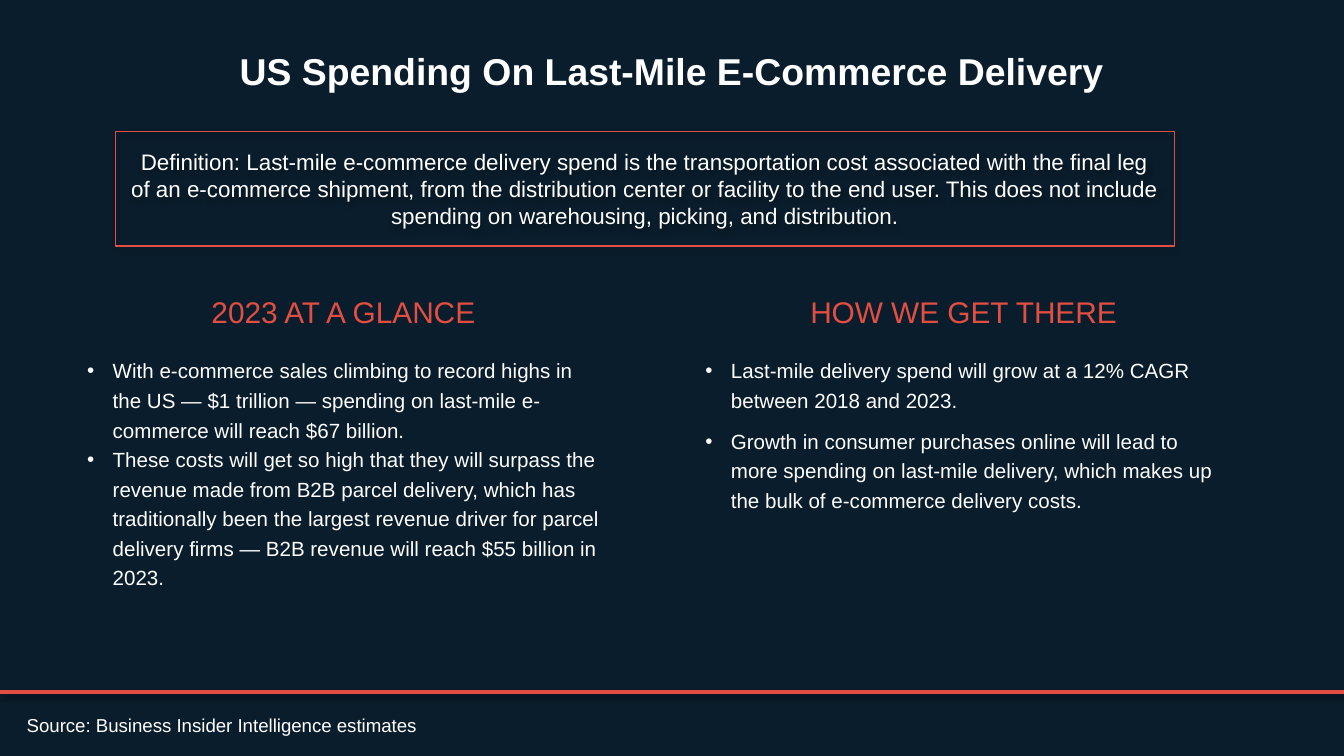
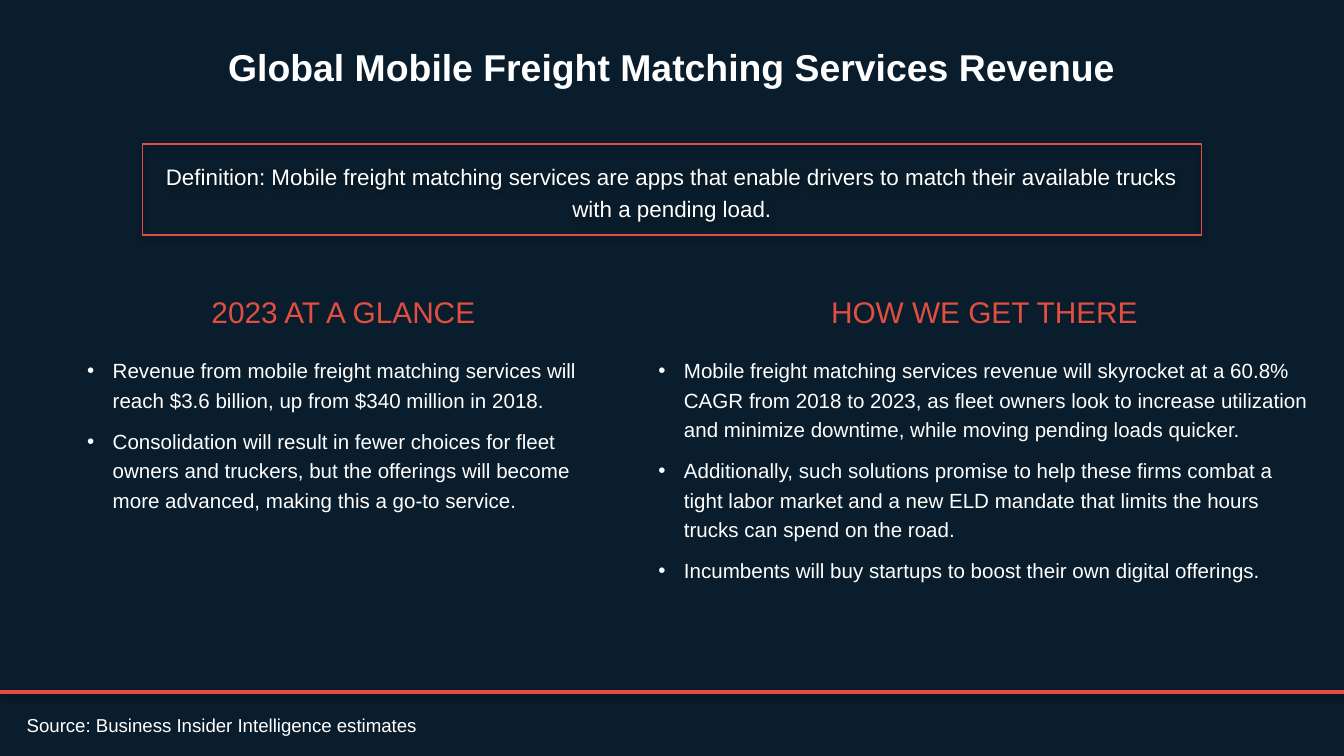
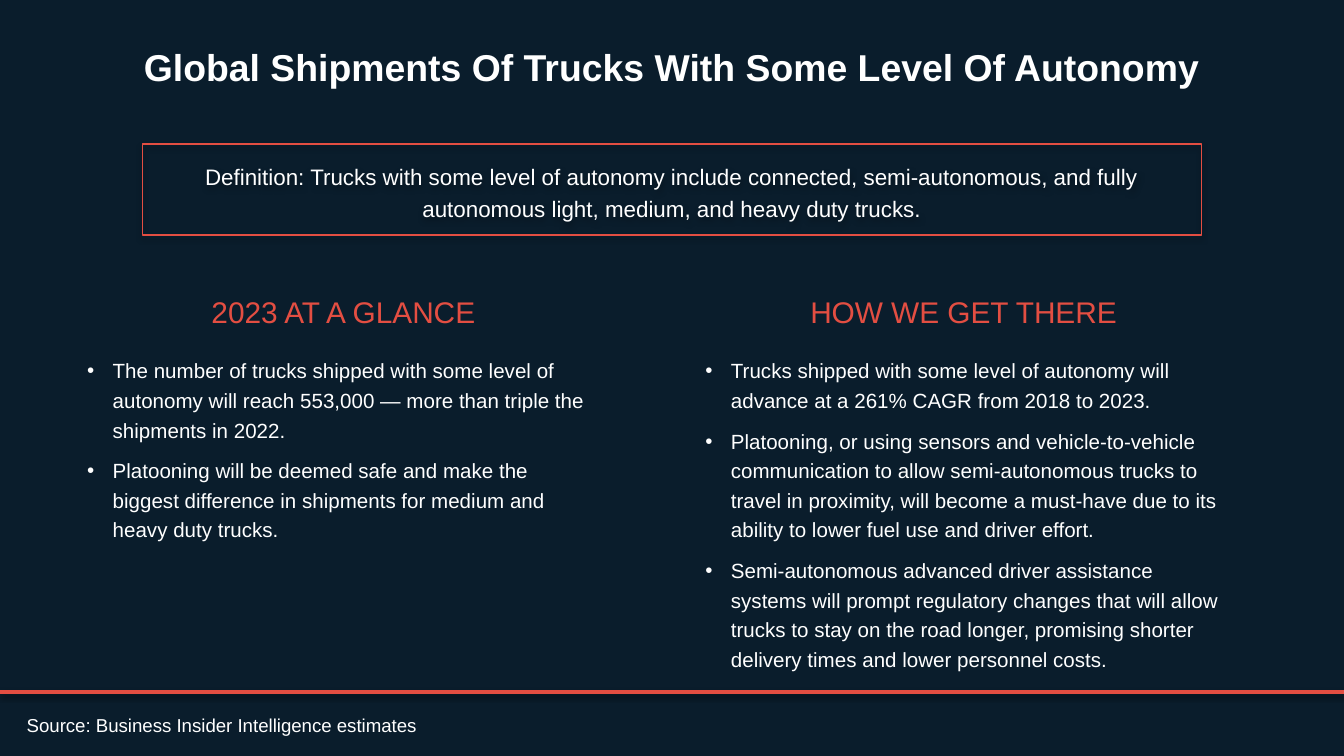
import pptx
import pptx.util
import pptx.dml.color
import pptx.enum.shapes
import pptx.enum.text
import pptx.oxml
import pptx.oxml.ns

Inches = pptx.util.Inches
Pt = pptx.util.Pt
ALIGN = pptx.enum.text.PP_ALIGN
ANCHOR = pptx.enum.text.MSO_ANCHOR

NAVY, RED, WHITE = "0A1D2C", "E34E42", "FFFFFF"
FONT = "Arial"
WIDE = 10
HIGH = WIDE * 9 / 16
RULE_Y = 5.15
INDENT = 0.19
LEFT_BOX = (0.55, 2.08, 4.01, 3.15)
NOTE_BOX = (1.06, 1.07, 7.88, 0.68)
SOURCE = "Source: Business Insider Intelligence estimates"

SLIDES = [
    dict(
        title="US Spending On Last-Mile E-Commerce Delivery",
        title_y=0.23,
        note="Definition: Last-mile e-commerce delivery spend is the transportation cost associated with the final leg of an e-commerce shipment, from the distribution center or facility to the end user. This does not include spending on warehousing, picking, and distribution.",
        note_box=(0.86, 0.98, 7.88, 0.85),
        note_space=1.0,
        glance=[
            "With e-commerce sales climbing to record highs in the US — $1 trillion — spending on last-mile e-commerce will reach $67 billion.",
            "These costs will get so high that they will surpass the revenue made from B2B parcel delivery, which has traditionally been the largest revenue driver for parcel delivery firms — B2B revenue will reach $55 billion in 2023.",
        ],
        glance_gap=0,
        path_box=(5.15, 2.08, 4.04, 1.84),
        steps=[
            "Last-mile delivery spend will grow at a 12% CAGR between 2018 and 2023.",
            "Growth in consumer purchases online will lead to more spending on last-mile delivery, which makes up the bulk of e-commerce delivery costs.",
        ],
    ),
    dict(
        title="Global Mobile Freight Matching Services Revenue",
        note="Definition: Mobile freight matching services are apps that enable drivers to match their available trucks with a pending load.",
        glance=[
            "Revenue from mobile freight matching services will reach $3.6 billion, up from $340 million in 2018.",
            "Consolidation will result in fewer choices for fleet owners and truckers, but the offerings will become more advanced, making this a go-to service.",
        ],
        path_box=(4.8, 2.08, 5.05, 2.37),
        steps=[
            "Mobile freight matching services revenue will skyrocket at a 60.8% CAGR from 2018 to 2023, as fleet owners look to increase utilization and minimize downtime, while moving pending loads quicker.",
            "Additionally, such solutions promise to help these firms combat a tight labor market and a new ELD mandate that limits the hours trucks can spend on the road.",
            "Incumbents will buy startups to boost their own digital offerings.",
        ],
    ),
    dict(
        title="Global Shipments Of Trucks With Some Level Of Autonomy",
        note="Definition: Trucks with some level of autonomy include connected, semi-autonomous, and fully autonomous light, medium, and heavy duty trucks.",
        glance=[
            "The number of trucks shipped with some level of autonomy will reach 553,000 — more than triple the shipments in 2022.",
            "Platooning will be deemed safe and make the biggest difference in shipments for medium and heavy duty trucks.",
        ],
        path_box=(5.15, 2.08, 4.04, 3.04),
        steps=[
            "Trucks shipped with some level of autonomy will advance at a 261% CAGR from 2018 to 2023.",
            "Platooning, or using sensors and vehicle-to-vehicle communication to allow semi-autonomous trucks to travel in proximity, will become a must-have due to its ability to lower fuel use and driver effort.",
            "Semi-autonomous advanced driver assistance systems will prompt regulatory changes that will allow trucks to stay on the road longer, promising shorter delivery times and lower personnel costs.",
        ],
    ),
]


def tint(code):
    """Turn a hex string into a colour."""
    return pptx.dml.color.RGBColor.from_string(code)


def write(para, text, size=11, color=WHITE, bold=False, align=ALIGN.LEFT,
          space=1.2, after=0, bullet=False):
    """Fill a paragraph with formatted text."""
    para.alignment = align
    para.line_spacing = space
    para.space_before = Pt(0)
    para.space_after = Pt(after)
    if bullet:
        props = para._p.get_or_add_pPr()
        props.set("marL", str(Inches(INDENT)))
        props.set("indent", str(-Inches(INDENT)))
        for tag, attrs in (("a:buFont", {"typeface": FONT}),
                           ("a:buChar", {"char": "•"})):
            props.append(props.makeelement(pptx.oxml.ns.qn(tag), attrs))
    run = para.add_run()
    run.text = text
    run.font.name = FONT
    run.font.size = Pt(size)
    run.font.bold = bold
    run.font.color.rgb = tint(color)


def frame(slide, box, anchor=ANCHOR.TOP):
    """Add a wrapping text box and return its frame."""
    area = slide.shapes.add_textbox(*map(Inches, box)).text_frame
    area.word_wrap = True
    area.vertical_anchor = anchor
    return area


def shade(shape, alpha, dist):
    """Give a shape a soft shadow straight below it."""
    space = pptx.oxml.ns.nsdecls("a")
    shape._element.spPr.append(pptx.oxml.parse_xml(
        f'<a:effectLst {space}><a:outerShdw blurRad="{Pt(3.1)}" dist="{Pt(dist)}" '
        f'dir="5400000" rotWithShape="0"><a:srgbClr val="000000">'
        f'<a:alpha val="{alpha * 1000}"/></a:srgbClr></a:outerShdw></a:effectLst>'))


def stroke(shape, width):
    """Draw a shape's line in red."""
    shape.line.color.rgb = tint(RED)
    shape.line.width = Pt(width)


def column(slide, box, head, items, gap=6):
    """Add a heading with bullets under it."""
    area = frame(slide, box)
    write(area.paragraphs[0], head, size=16, color=RED, align=ALIGN.CENTER, after=13)
    for item in items:
        write(area.add_paragraph(), item, after=gap, bullet=True)


def header(slide, text, top):
    """Add the slide title."""
    area = frame(slide, (0.2, top, 9.6, 0.51), ANCHOR.BOTTOM)
    write(area.paragraphs[0], text, size=20, bold=True, align=ALIGN.CENTER)


def footer(slide):
    """Add the source line and the red rule."""
    area = frame(slide, (0.1, 5.31, 5.42, 0.22), ANCHOR.BOTTOM)
    write(area.paragraphs[0], SOURCE, size=10, space=1.0)
    rule = slide.shapes.add_connector(
        pptx.enum.shapes.MSO_CONNECTOR.STRAIGHT,
        *map(Inches, (0, RULE_Y, WIDE, RULE_Y)))
    stroke(rule, 2)
    shade(rule, 38, 1.6)


def panel(slide, box, text, space):
    """Add the outlined definition."""
    shape = slide.shapes.add_shape(
        pptx.enum.shapes.MSO_SHAPE.RECTANGLE, *map(Inches, box))
    shape.fill.background()
    stroke(shape, 0.75)
    shade(shape, 35, 1.8)
    area = shape.text_frame
    area.word_wrap = True
    area.vertical_anchor = ANCHOR.MIDDLE
    write(area.paragraphs[0], text, size=12, align=ALIGN.CENTER, space=space)


def build(deck, title, note, glance, path_box, steps, title_y=0.2,
          note_box=NOTE_BOX, note_space=1.2, glance_gap=6):
    """Add one forecast slide."""
    slide = deck.slides.add_slide(deck.slide_layouts[6])
    slide.background.fill.solid()
    slide.background.fill.fore_color.rgb = tint(NAVY)
    column(slide, LEFT_BOX, "2023 AT A GLANCE", glance, glance_gap)
    header(slide, title, title_y)
    footer(slide)
    column(slide, path_box, "HOW WE GET THERE", steps)
    panel(slide, note_box, note, note_space)


def main():
    """Build and save the deck."""
    deck = pptx.Presentation()
    deck.slide_width = Inches(WIDE)
    deck.slide_height = Inches(HIGH)
    for parts in SLIDES:
        build(deck, **parts)
    deck.save("out.pptx")


if __name__ == "__main__":
    main()
